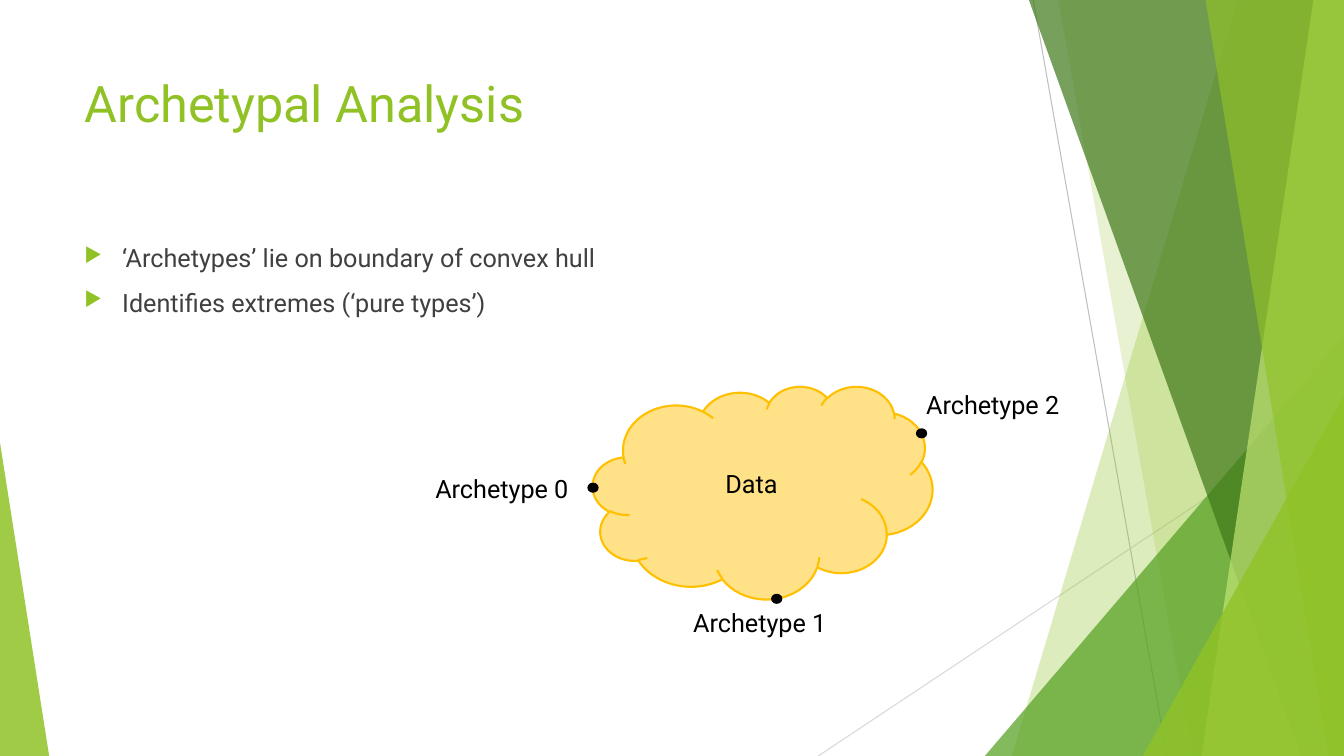
"""Build the Archetypal Analysis slide with its faceted green border."""
from lxml import etree
from pptx import Presentation
from pptx.dml.color import RGBColor
from pptx.enum import shapes, text
from pptx.oxml import ns
from pptx.util import Cm, Pt

WIDTH, HEIGHT = 33.87, 19.05
GREEN, AMBER, BLACK = "90C226", "FFC000", "000000"


def paint(shape, color, opacity=100, outline=None):
    shape.shadow.inherit = False
    shape.fill.solid()
    shape.fill.fore_color.rgb = RGBColor.from_string(color)
    if opacity < 100:
        tint = shape.fill._xPr.find(".//" + ns.qn("a:srgbClr"))
        etree.SubElement(tint, ns.qn("a:alpha"), val=str(opacity * 1000))
    if outline:
        shape.line.color.rgb = RGBColor.from_string(outline)
        shape.line.width = Pt(1.5)
    else:
        shape.line.fill.background()


def style(paragraph, size, color):
    for span in paragraph.runs:
        span.font.name = "Roboto"
        span.font.size = Pt(size)
        span.font.color.rgb = RGBColor.from_string(color)


deck = Presentation()
deck.slide_width, deck.slide_height = Cm(WIDTH), Cm(HEIGHT)
page = deck.slides.add_slide(deck.slide_layouts[5])

for start_x, start_y, end_x, color in [(26.04, 0, 29.41, "BFBFBF"),
                                       (WIDTH, 10.24, 20.62, "D9D9D9")]:
    line = page.shapes.add_connector(shapes.MSO_CONNECTOR.STRAIGHT, Cm(start_x),
                                     Cm(start_y), Cm(end_x), Cm(HEIGHT))
    line.line.color.rgb = RGBColor.from_string(color)
    line.line.width = Pt(0.75)
    etree.SubElement(line._element.spPr, ns.qn("a:effectLst"))

facets = [
    ("band", (31.19, 25.5), GREEN, 30),
    ("band", (26.67, 30.05), GREEN, 20),
    ("triangle", (24.82, 8.46, 9.05, 1), "54A021", 72),
    ("band", (25.93, 32.79), "3F7819", 70),
    ("band", (33.1, 30.28), "C0E474", 70),
    ("band", (30.38, 33.48), GREEN, 65),
    ("triangle", (28.8, 9.98, 5.07, 1), GREEN, 80),
    ("triangle", (0, 11.15, 1.24, 0), GREEN, 85),
]
for kind, place, color, opacity in facets:
    if kind == "band":
        top_x, bottom_x = place
        outline = page.shapes.build_freeform(Cm(top_x), 0)
        outline.add_line_segments([(Cm(WIDTH), 0), (Cm(WIDTH), Cm(HEIGHT)),
                                   (Cm(bottom_x), Cm(HEIGHT))], close=True)
        facet = outline.convert_to_shape()
    else:
        left, top, width, apex = place
        facet = page.shapes.add_shape(shapes.MSO_SHAPE.ISOSCELES_TRIANGLE, Cm(left),
                                      Cm(top), Cm(width), Cm(HEIGHT - top))
        facet.adjustments[0] = apex
    paint(facet, color, opacity)

title = page.shapes.title
title.left, title.top, title.width, title.height = Cm(1.88), Cm(1.7), Cm(23.88), Cm(3.66)
title.text_frame.text = "Archetypal Analysis"
title.text_frame.vertical_anchor = text.MSO_ANCHOR.TOP
title.text_frame.paragraphs[0].alignment = text.PP_ALIGN.LEFT
style(title.text_frame.paragraphs[0], 36, GREEN)

cloud = page.shapes.add_shape(shapes.MSO_SHAPE.CLOUD, Cm(14.94), Cm(9.73), Cm(8.56), Cm(5.36))
paint(cloud, AMBER, 47, AMBER)

for left, top in [(14.83, 12.19), (23.11, 10.82), (19.46, 14.99)]:
    dot = page.shapes.add_shape(shapes.MSO_SHAPE.OVAL, Cm(left), Cm(top), Cm(0.23), Cm(0.2))
    paint(dot, BLACK, outline=BLACK)

points = page.shapes.add_textbox(Cm(1.88), Cm(5.99), Cm(15.49), Cm(2.87)).text_frame
points.word_wrap = True
points.text = "‘Archetypes’ lie on boundary of convex hull\nIdentifies extremes (‘pure types’)"
for index, para in enumerate(points.paragraphs):
    layout = para._p.get_or_add_pPr()
    layout.set("marL", str(Cm(0.95)))
    layout.set("indent", str(-Cm(0.95)))
    bullet_color = etree.SubElement(layout, ns.qn("a:buClr"))
    etree.SubElement(bullet_color, ns.qn("a:srgbClr"), val=GREEN)
    etree.SubElement(layout, ns.qn("a:buSzPct"), val="80000")
    etree.SubElement(layout, ns.qn("a:buChar"), char="▶")
    para.space_before = Pt(10 if index else 0)
    style(para, 18, "404040")

for caption, left, top, width in [("Data", 18.03, 11.68, 1.83),
                                  ("Archetype 0", 10.72, 11.79, 3.96),
                                  ("Archetype 2", 23.09, 9.68, 3.96),
                                  ("Archetype 1", 17.22, 15.19, 3.96)]:
    label = page.shapes.add_textbox(Cm(left), Cm(top), Cm(width), Cm(1.02)).text_frame
    label.word_wrap = False
    label.auto_size = text.MSO_AUTO_SIZE.SHAPE_TO_FIT_TEXT
    label.text = caption
    style(label.paragraphs[0], 18, BLACK)

deck.save("out.pptx")
